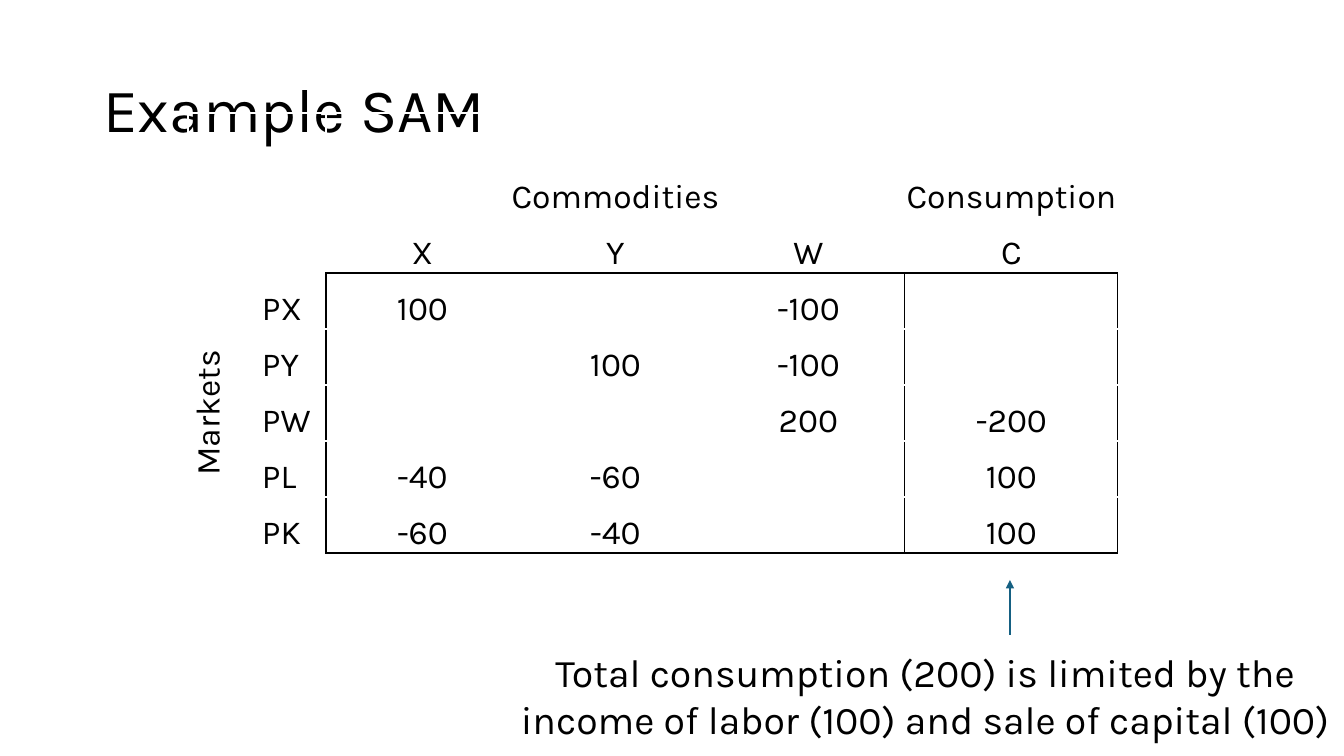
from lxml import etree
from pptx import Presentation
from pptx.dml.color import RGBColor as Rgb
from pptx.enum.shapes import MSO_CONNECTOR as Conn
from pptx.enum.text import MSO_ANCHOR as Anchor, MSO_AUTO_SIZE as Auto, PP_ALIGN as Align
from pptx.oxml.ns import qn
from pptx.util import Emu, Pt

SCALE = 914400 / 100.8
FONT = "Karla"
INK = {"text": "000000", "rule": "000000", "blank": "FFFFFF", "arrow": "156082"}

COLS = [73, 65, 193, 193, 193, 213]
ROWS = [104, 56, 56, 56, 56, 56, 56]
CELLS = [
    ["", "", "Commodities", "", "", "Consumption"],
    ["", "", "X", "Y", "W", "C"],
    ["Markets", "PX", "100", "", "-100", ""],
    ["", "PY", "", "100", "-100", ""],
    ["", "PW", "", "", "200", "-200"],
    ["", "PL", "-40", "-60", "", "100"],
    ["", "PK", "-60", "-40", "", "100"],
]
FIRST = 2  # first row and column of figures
UPRIGHT = {2, 5, 6}  # column edges ruled in black
LEVEL = {2, 7}  # row edges ruled in black


def px(n):
    return Emu(round(n * SCALE))


def write(frame, text, size, align):
    para = frame.paragraphs[0]
    para.alignment = align
    run = para.add_run()
    run.text = text
    run.font.name = FONT
    run.font.size = Pt(size)
    run.font.color.rgb = Rgb.from_string(INK["text"])
    return para


def rule(cell, side, dark):
    line = etree.SubElement(cell._tc.get_or_add_tcPr(), qn("a:ln" + side), w=str(Pt(1)))
    fill = etree.SubElement(line, qn("a:solidFill"))
    etree.SubElement(fill, qn("a:srgbClr"), val=INK["rule" if dark else "blank"])


def add_title(slide, x, y, w, h):
    title = slide.shapes.title
    title.left, title.top, title.width, title.height = map(px, (x, y, w, h))
    title.text_frame.vertical_anchor = Anchor.MIDDLE
    write(title.text_frame, "Example SAM", 44, Align.LEFT).line_spacing = 0.9


def add_matrix(slide, x, y):
    table = slide.shapes.add_table(
        len(ROWS), len(COLS), px(x), px(y), px(sum(COLS)), px(sum(ROWS))).table
    table.first_row = table.horz_banding = False
    for col, w in zip(table.columns, COLS):
        col.width = px(w)
    for row, h in zip(table.rows, ROWS):
        row.height = px(h)

    # Cells, with black rules only around the figures
    for r, line in enumerate(CELLS):
        for c, text in enumerate(line):
            cell = table.cell(r, c)
            cell.margin_left = cell.margin_right = cell.margin_top = px(1)
            cell.margin_bottom = 0
            cell.vertical_anchor = Anchor.BOTTOM
            rule(cell, "L", r >= FIRST and c in UPRIGHT)
            rule(cell, "R", r >= FIRST and c + 1 in UPRIGHT)
            rule(cell, "T", c >= FIRST and r in LEVEL)
            rule(cell, "B", c >= FIRST and r + 1 in LEVEL)
            cell.fill.background()
            if text:
                write(cell.text_frame, text, 24, Align.LEFT if c == 1 else Align.CENTER)

    # Group headings
    table.cell(0, 2).merge(table.cell(0, 4))
    side = table.cell(2, 0)
    side.merge(table.cell(6, 0))
    side.vertical_anchor = Anchor.MIDDLE
    side._tc.get_or_add_tcPr().set("vert", "vert270")


def add_note(slide, x, y, w, h):
    box = slide.shapes.add_textbox(*map(px, (x, y, w, h)))
    box.text_frame.word_wrap = True
    box.text_frame.auto_size = Auto.SHAPE_TO_FIT_TEXT
    write(box.text_frame, "Total consumption (200) is limited by the "
          "income of labor (100) and sale of capital (100)", 28, Align.CENTER)

    # Arrow up to the consumption column
    tip = x + 505
    arrow = slide.shapes.add_connector(
        Conn.STRAIGHT, px(tip), px(y - 8), px(tip), px(y - 63))
    arrow.line.color.rgb = Rgb.from_string(INK["arrow"])
    arrow.line.width = Pt(1.5)
    etree.SubElement(arrow.line._get_or_add_ln(), qn("a:tailEnd"), type="triangle")
    etree.SubElement(arrow._element.spPr, qn("a:effectLst"))


def main():
    deck = Presentation()
    deck.slide_width, deck.slide_height = px(1344), px(756)
    slide = deck.slides.add_slide(deck.slide_layouts[5])
    add_matrix(slide, 188, 113)
    add_note(slide, 505, 643, 840, 105)
    add_title(slide, 93, 40, 1159, 146)
    deck.save("out.pptx")


if __name__ == "__main__":
    main()
